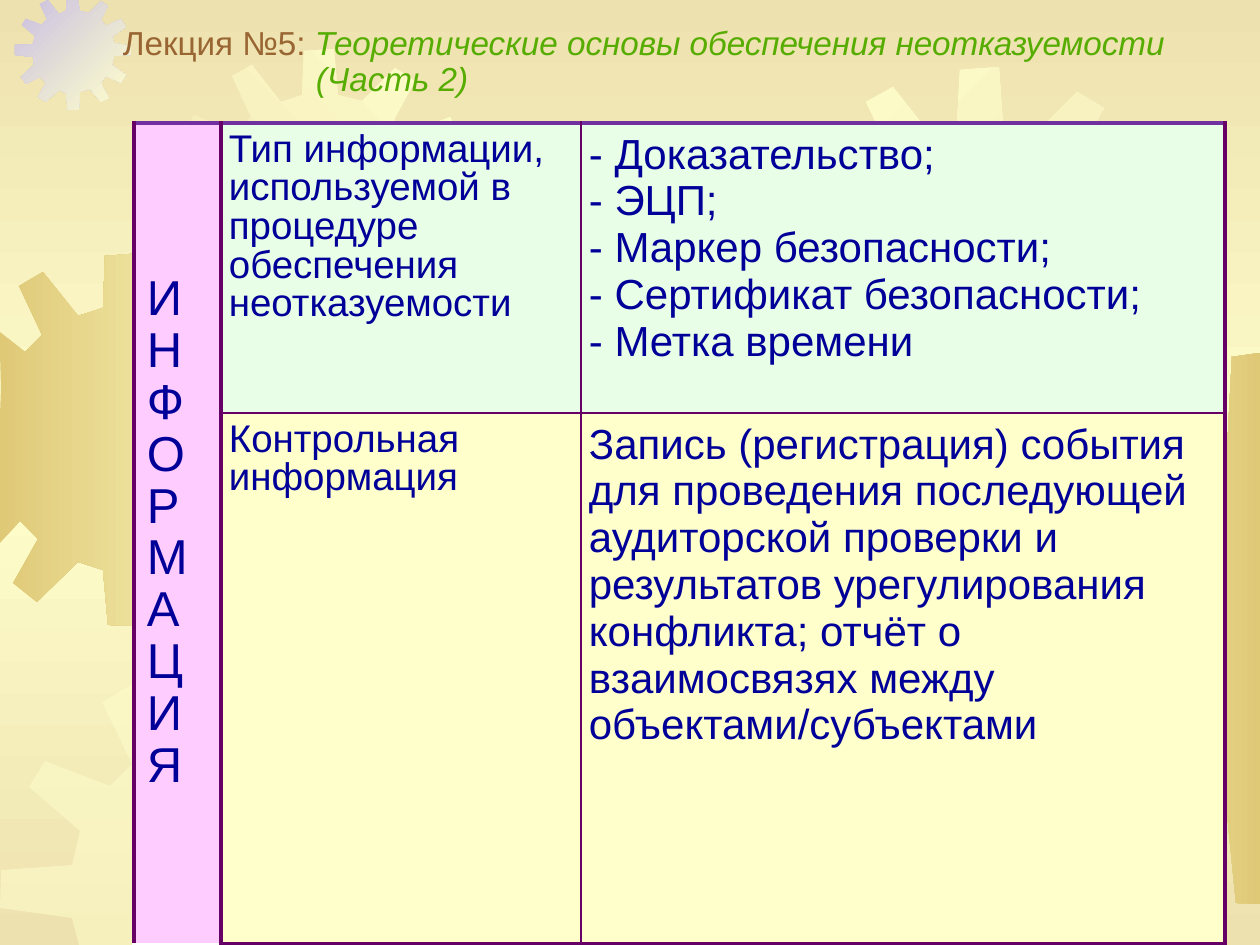
from lxml import etree
from pptx import Presentation
from pptx import util as u
from pptx.dml.color import RGBColor
from pptx.enum import text
from pptx.oxml.ns import qn

SCALE = 914400 / 126
WIDTH, HEIGHT = 1260, 945
FONT, NAVY, PLUM, VIOLET = "Arial", "000099", "660066", "7030A0"
SAND, CREAM, GOLD, LILAC = "EDE1AF", "FFFFCC", "DFC977", "CAC0E2"

# Outline of one gear on a 401-unit square
GEAR_UNITS = 401
GEAR = [
    (255, 67), (223, 59), (219, 0), (180, 3), (177, 59), (151, 68), (113, 20), (87, 35),
    (112, 88), (94, 106), (38, 85), (25, 107), (68, 145), (61, 174), (1, 178), (0, 210),
    (61, 219), (67, 246), (22, 287), (38, 312), (88, 288), (107, 307), (81, 355), (106, 375),
    (151, 332), (177, 341), (183, 400), (222, 401), (226, 339), (259, 330), (299, 374),
    (325, 358), (299, 306), (316, 284), (368, 309), (384, 281), (336, 246), (342, 216),
    (401, 210), (400, 180), (341, 171), (335, 148), (383, 114), (367, 87), (313, 109),
    (296, 91), (323, 41), (297, 25),
]

# left, top, size, colours, gradient angle
GEARS = [
    (-62, 253, 373, (GOLD, CREAM), 0),
    (15, -6, 116, (LILAC, CREAM), 45),
    (164, 49, 312, (SAND, CREAM), 315),
    (349, 175, 505, (CREAM, SAND), 45),
    (0, 661, 471, (CREAM,), 0),
    (619, 610, 312, (SAND, CREAM), 45),
    (779, 67, 403, (CREAM, SAND), 45),
    (985, 353, 551, (CREAM, GOLD), 0),
]

# text, size, line spacing, fill
CELLS = [
    [("\n".join("ИНФОРМАЦИЯ"), 28, 0.95, "FFCCFF"),
     ("Тип информации, используемой в процедуре обеспечения неотказуемости", 22, 0.9, "E9FEE6"),
     ("- Доказательство;\n- ЭЦП;\n- Маркер безопасности;\n- Сертификат безопасности;\n"
      "- Метка времени", 24, None, "E9FEE6")],
    [None,
     ("Контрольная информация", 22, 0.9, "FFFFCC"),
     ("Запись (регистрация) события для проведения последующей аудиторской проверки и "
      "результатов урегулирования конфликта; отчёт о взаимосвязях между "
      "объектами/субъектами", 24, None, "FFFFCC")],
]
COLUMN_LINES = [(PLUM, 3), (PLUM, 3), (PLUM, 1.5), (PLUM, 3)]
ROW_LINES = [(VIOLET, 3), (PLUM, 1.5), (PLUM, 3)]


def px(value):
    return u.Emu(round(value * SCALE))


def color(value):
    return RGBColor.from_string(value)


def child(parent, tag, **attributes):
    return etree.SubElement(parent, qn(tag), **attributes)


def paint_gradient(fill, owner, colors, angle):
    fill.gradient()
    gradient = next(owner.iter(qn("a:gradFill")))
    stops = gradient.find(qn("a:gsLst"))
    for stop in list(stops):
        stops.remove(stop)
    for index, value in enumerate(colors):
        stop = child(stops, "a:gs", pos=str(index * 100000 // (len(colors) - 1)))
        child(stop, "a:srgbClr", val=value)
    gradient.find(qn("a:lin")).set("ang", str(angle * 60000))


def add_gear(page, left, top, size, colors, angle):
    ratio = size / GEAR_UNITS
    points = [(min(max(left + x * ratio, 0), WIDTH), min(max(top + y * ratio, 0), HEIGHT))
              for x, y in GEAR]
    builder = page.shapes.build_freeform(*points[0], scale=SCALE)
    builder.add_line_segments(points[1:], close=True)
    gear = builder.convert_to_shape()
    gear.shadow.inherit = False
    gear.line.fill.background()
    if len(colors) > 1:
        paint_gradient(gear.fill, gear._element, colors, angle)
    else:
        gear.fill.solid()
        gear.fill.fore_color.rgb = color(colors[0])
        child(next(gear._element.iter(qn("a:srgbClr"))), "a:alpha", val="50000")


def style_font(font, size, value):
    font.size = u.Pt(size)
    font.color.rgb = color(value)
    font.name = FONT


def add_text_shadow(span):
    effects = etree.Element(qn("a:effectLst"))
    shadow = child(effects, "a:outerShdw", dist="25400", dir="2700000", algn="tl")
    child(shadow, "a:srgbClr", val="FF9933")
    span._r.rPr.find(qn("a:solidFill")).addnext(effects)


def place_title(page, left, top, width, height):
    title = page.shapes.title
    title.left, title.top, title.width, title.height = map(px, (left, top, width, height))
    title._element.getparent().append(title._element)  # in front of the gears
    frame = title.text_frame
    frame.margin_left = frame.margin_right = frame.margin_top = frame.margin_bottom = 0
    frame.vertical_anchor = text.MSO_ANCHOR.MIDDLE
    frame.word_wrap = True
    frame.auto_size = text.MSO_AUTO_SIZE.NONE
    lines = [
        [("Лекция №5: ", "996633", False),
         ("Теоретические основы обеспечения неотказуемости", "56AC00", True)],
        [("(Часть 2)", "56AC00", True)],
    ]
    # The second line hangs below the topic on the first
    for index, spans in enumerate(lines):
        para = frame.add_paragraph() if index else frame.paragraphs[0]
        para.alignment = text.PP_ALIGN.LEFT
        para.line_spacing = 0.9
        para.space_before = u.Pt(0)
        properties = para._p.get_or_add_pPr()
        properties.set("marL", str(px(211)))
        properties.set("indent", str(0 if index else px(-193)))
        for words, value, italic in spans:
            span = para.add_run()
            span.text = words
            style_font(span.font, 19, value)
            span.font.italic = italic
            add_text_shadow(span)


def set_borders(cell, borders):
    properties = cell._tc.get_or_add_tcPr()
    for index, (side, (value, width)) in enumerate(borders.items()):
        line = etree.Element(qn("a:ln" + side), w=str(u.Pt(width)))
        child(child(line, "a:solidFill"), "a:srgbClr", val=value)
        properties.insert(index, line)


def fill_cell(cell, words, size, spacing, value, margins, anchor):
    cell.margin_left = cell.margin_right = px(margins[0])
    cell.margin_top = cell.margin_bottom = px(margins[1])
    cell.vertical_anchor = anchor
    cell.fill.solid()
    cell.fill.fore_color.rgb = color(value)
    cell.text_frame.text = words
    for para in cell.text_frame.paragraphs:
        para.alignment = text.PP_ALIGN.LEFT
        if spacing:
            para.line_spacing = spacing
        for span in para.runs:
            style_font(span.font, size, NAVY)


def add_information_table(page, left, top, widths, heights):
    table = page.shapes.add_table(len(heights), len(widths), px(left), px(top),
                                  px(sum(widths)), px(sum(heights))).table
    table.first_row = table.horz_banding = False
    for column, width in zip(table.columns, widths):
        column.width = px(width)
    for row, height in zip(table.rows, heights):
        row.height = px(height)
    table.cell(0, 0).merge(table.cell(1, 0))
    for r, row in enumerate(CELLS):
        for c, content in enumerate(row):
            cell = table.cell(r, c)
            if content:
                side = c == 0
                fill_cell(cell, *content, (13, 6) if side else (8, 8),
                          text.MSO_ANCHOR.MIDDLE if side else text.MSO_ANCHOR.TOP)
            borders = {"L": COLUMN_LINES[c], "R": COLUMN_LINES[c + 1],
                       "T": ROW_LINES[r], "B": ROW_LINES[r + 1]}
            if c == 0:  # no line inside the merged cell
                del borders["T" if r else "B"]
            set_borders(cell, borders)


def main():
    deck = Presentation()
    deck.slide_width, deck.slide_height = px(WIDTH), px(HEIGHT)
    page = deck.slides.add_slide(deck.slide_layouts[5])
    # Background
    paint_gradient(page.background.fill, page._element, (SAND, CREAM, SAND), 90)
    for gear in GEARS:
        add_gear(page, *gear)
    # Content
    add_information_table(page, 134, 123, (87, 360, 644), (290, 384))
    place_title(page, 105, 26, 1155, 73)
    deck.save("out.pptx")


if __name__ == "__main__":
    main()
